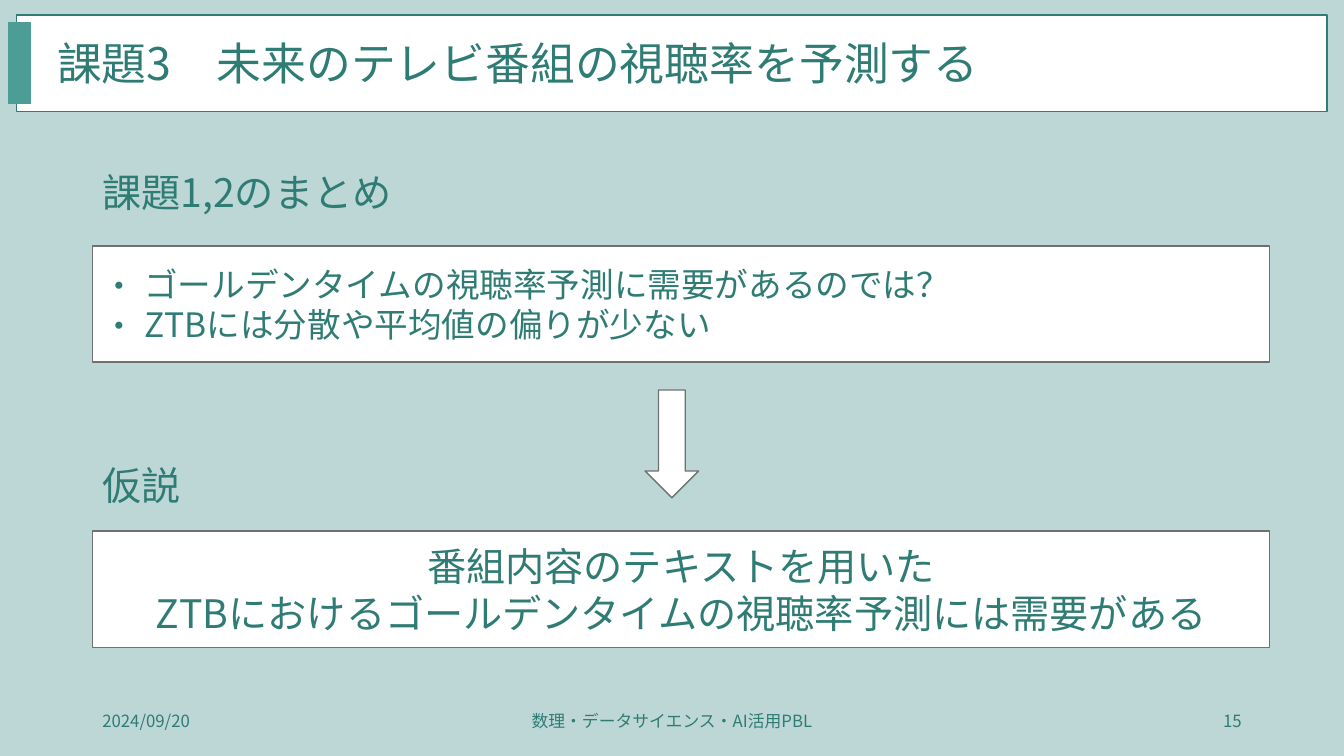
from dataclasses import dataclass

from lxml import etree
from pptx import Presentation
from pptx import util as u
from pptx.dml.color import RGBColor
from pptx.enum import shapes, text
from pptx.oxml.ns import qn


@dataclass(frozen=True)
class Theme:
    font: str = "Noto Sans CJK JP"
    background: str = "BDD7D6"
    panel: str = "FFFFFF"
    ink: str = "2F7C75"
    accent: str = "4B9D96"
    border: str = "707070"
    title: int = 32
    heading: int = 28
    body: int = 24
    footer: int = 12
    leading: float = 1.2
    bullet_indent: int = 30


class SlideBuilder:
    def __init__(self, deck, theme):
        self.theme = theme
        self.page = deck.slides.add_slide(deck.slide_layouts[6])
        fill = self.page.background.fill
        fill.solid()
        fill.fore_color.rgb = RGBColor.from_string(theme.background)

    def shape(self, kind, frame, fill, line):
        item = self.page.shapes.add_shape(kind, *map(u.Pt, frame))
        item.shadow.inherit = False
        item.fill.solid()
        item.fill.fore_color.rgb = RGBColor.from_string(fill)
        item.line.color.rgb = RGBColor.from_string(line)
        item.line.width = u.Pt(1)
        return item

    def label(self, frame, line, size, align=text.PP_ALIGN.LEFT,
              anchor=text.MSO_ANCHOR.TOP):
        box = self.page.shapes.add_textbox(*map(u.Pt, frame))
        self.add_lines(box, [line], size, align, anchor)

    def panel(self, frame, lines, size, align=text.PP_ALIGN.LEFT, bullet=None):
        box = self.shape(shapes.MSO_SHAPE.RECTANGLE, frame,
                         self.theme.panel, self.theme.border)
        self.add_lines(box, lines, size, align, text.MSO_ANCHOR.MIDDLE, bullet)

    def add_lines(self, box, lines, size, align, anchor, bullet=None):
        frame = box.text_frame
        frame.word_wrap = True
        frame.vertical_anchor = anchor
        for index, line in enumerate(lines):
            para = frame.paragraphs[0] if index == 0 else frame.add_paragraph()
            para.alignment = align
            para.line_spacing = u.Pt(size * self.theme.leading)
            if bullet:
                self.add_bullet(para, bullet)
            self.add_span(para, line, size)

    def add_bullet(self, para, bullet):
        properties = para._p.get_or_add_pPr()
        indent = u.Pt(self.theme.bullet_indent)
        properties.set("marL", str(indent))
        properties.set("indent", str(-indent))
        etree.SubElement(properties, qn("a:buFont"), typeface=self.theme.font)
        etree.SubElement(properties, qn("a:buChar"), char=bullet)

    def add_span(self, para, line, size):
        span = para.add_run()
        span.text = line
        span.font.size = u.Pt(size)
        span.font.name = self.theme.font
        span.font.color.rgb = RGBColor.from_string(self.theme.ink)
        etree.SubElement(span._r.get_or_add_rPr(), qn("a:ea"),
                         typeface=self.theme.font)


def main():
    deck = Presentation()
    deck.slide_width, deck.slide_height = u.Pt(960), u.Pt(540)
    theme = Theme()
    slide = SlideBuilder(deck, theme)
    rectangle = shapes.MSO_SHAPE.RECTANGLE
    align = text.PP_ALIGN
    left, panel_width, panel_height = 66, 841, 83

    slide.shape(rectangle, (12, 10.8, 936, 69), theme.panel, theme.ink)
    slide.shape(rectangle, (6.3, 16.5, 15.6, 57.6), theme.accent, theme.accent)
    slide.label((33.8, 22.3, 903, 46), "課題3　未来のテレビ番組の視聴率を予測する", theme.title)

    for top, heading in ((116.6, "課題1,2のまとめ"), (326.2, "仮説")):
        slide.label((left, top, 480, 41), heading, theme.heading)

    slide.panel(
        (left, 175.7, panel_width, panel_height),
        ["ゴールデンタイムの視聴率予測に需要があるのでは？", "ZTBには分散や平均値の偏りが少ない"],
        theme.body, bullet="・")
    slide.shape(shapes.MSO_SHAPE.DOWN_ARROW, (460.8, 278.6, 38.2, 77),
                theme.panel, theme.border)
    slide.panel(
        (left, 379.4, panel_width, panel_height),
        ["番組内容のテキストを用いた", "ZTBにおけるゴールデンタイムの視聴率予測には需要がある"],
        theme.heading, align.CENTER)

    footers = (
        (left, 216, "2024/09/20", align.LEFT),
        (318, 324, "数理・データサイエンス・AI活用PBL", align.CENTER),
        (678, 216, "15", align.RIGHT),
    )
    for x, width, line, side in footers:
        slide.label((x, 500.5, width, 28.8), line, theme.footer, side,
                    text.MSO_ANCHOR.MIDDLE)

    deck.save("out.pptx")


if __name__ == "__main__":
    main()
